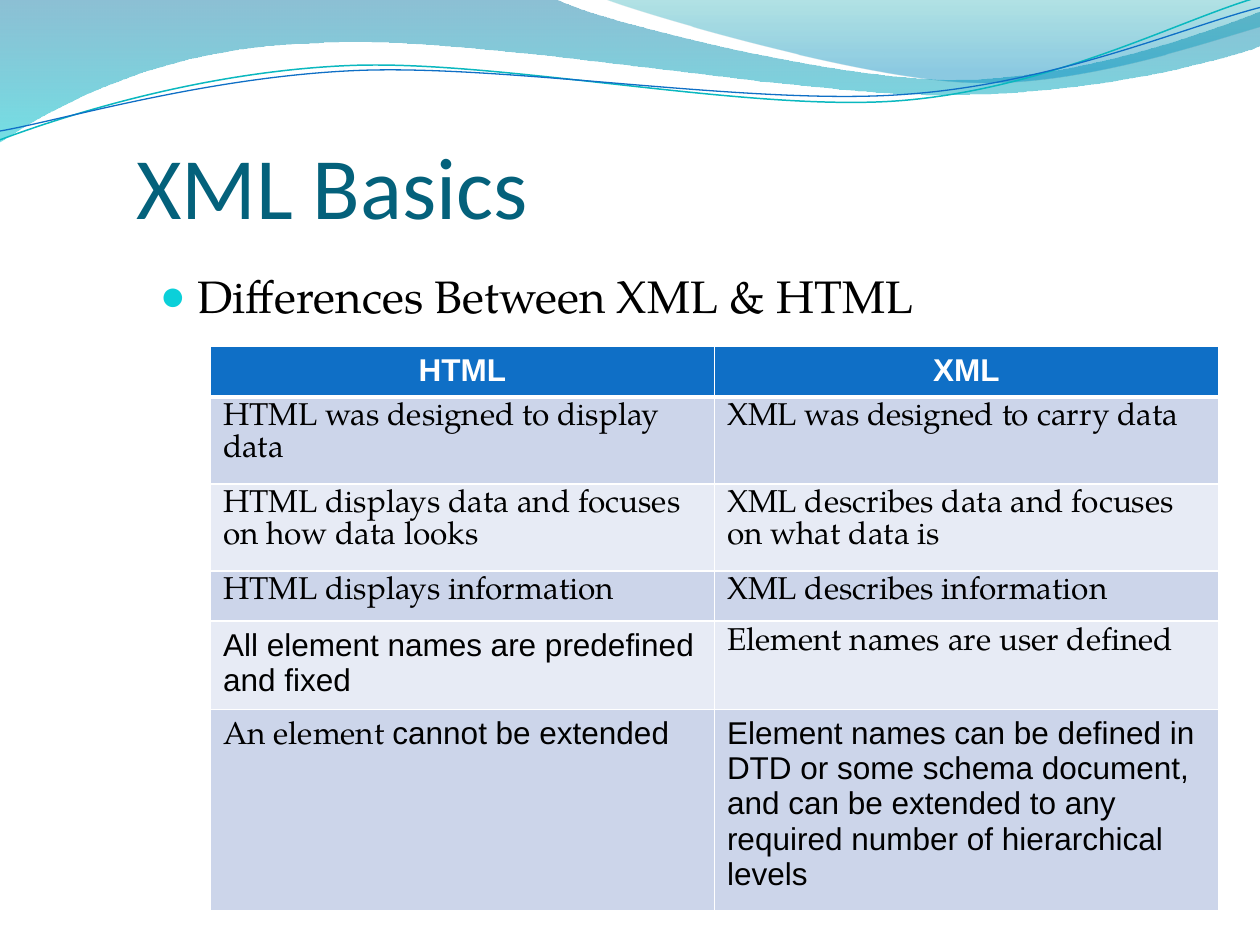
from math import cos, radians, sin

from pptx import Presentation
from pptx.dml.color import RGBColor
from pptx.enum.text import MSO_ANCHOR as Anchor, PP_ALIGN as Align
from pptx.oxml import parse_xml
from pptx.oxml.ns import nsdecls
from pptx.util import Inches, Pt

COLORS = {
    "white": "FFFFFF", "black": "000000", "title": "04617B", "bullet": "0BD0D9",
    "header": "0F6FC6", "band_dark": "CCD5EA", "band_light": "E7EBF5",
    "teal_line": "0AB8BF", "blue_line": "0F6FC6",
    "deep_blue": "0074A1", "cyan": "00C6CF", "teal": "00A1A9", "sky": "008BBF",
}
SANS, SERIF, TITLE_FONT = "Arial", "TeX Gyre Pagella", "Calibri"
TILT = 2.7

BROAD_WAVE = [
    (0, 0), (4.4, -0.01), (4.76, 0.17, 6.64, 0.63, 7.58, 0.63),
    (8.53, 0.63, 9.58, 0.26, 10, 0.09), (10.01, 0.36),
    (9.83, 0.44, 8.7, 0.76, 7.46, 0.75), (6.22, 0.75, 3.82, 0.28, 2.57, 0.34),
    (1.29, 0.36, 0.46, 0.83, -0.01, 1.13),
]
RIGHT_WAVE = [
    (4.79, -0.01), (5.09, 0.11, 6.82, 0.62, 7.69, 0.65),
    (8.56, 0.69, 9.61, 0.32, 10, 0.21), (10, 0),
]
TEAL_CURVE = [
    (0, 1.11), (0.48, 0.93, 1.58, 0.57, 2.77, 0.52),
    (3.95, 0.47, 5.93, 0.89, 7.13, 0.8), (8.33, 0.71, 9.38, 0.15, 9.98, -0.02),
]
BLUE_CURVE = [
    (0, 1.04), (0.47, 0.96, 1.64, 0.61, 2.83, 0.56),
    (4.03, 0.51, 5.97, 0.84, 7.17, 0.75), (8.36, 0.67, 9.41, 0.21, 10, 0.06),
]
ROW_HEIGHTS = [0.4, 0.69, 0.69, 0.4, 0.4, 0.4]
ROWS = [
    [[("HTML", SANS)], [("XML", SANS)]],
    [[("HTML was designed to display data", SERIF)],
     [("XML was designed to carry data", SERIF)]],
    [[("HTML displays data and focuses on how data looks", SERIF)],
     [("XML describes data and focuses on what data is", SERIF)]],
    [[("HTML displays information", SERIF)], [("XML describes information", SERIF)]],
    [[("All element names are predefined and fixed", SANS)],
     [("Element names are user defined", SERIF)]],
    [[("An element ", SERIF), ("cannot be extended", SANS)],
     [("Element names can be defined in DTD or some schema document, and can be "
       "extended to any required number of hierarchical levels", SANS)]],
]


def color(name):
    return RGBColor.from_string(COLORS[name])


def turn(point, center, degrees):
    angle = radians(degrees)
    dx, dy = point[0] - center[0], point[1] - center[1]
    return (center[0] + dx * cos(angle) - dy * sin(angle),
            center[1] + dx * sin(angle) + dy * cos(angle))


class SlideBuilder:
    """Holds the text style and the current slide, and draws its elements."""

    def __init__(self, slide):
        self.slide = slide
        self.table_size = 18
        self.table_line = 1
        self.header_line = 3

    def outline(self, segments, closed, center=(0, 0), tilt=0):
        points = [turn(segment[i:i + 2], center, tilt)
                  for segment in segments for i in range(0, len(segment), 2)]
        points = [(Inches(x), Inches(y)) for x, y in points]
        builder = self.slide.shapes.build_freeform(*points[0])
        builder.add_line_segments(points[1:], close=closed)
        shape = builder.convert_to_shape()
        shape.shadow.inherit = False
        shape.rotation = -tilt % 360
        self.bend(shape, segments)
        return shape

    def bend(self, shape, segments):
        steps = iter(shape._element.findall(".//{*}lnTo"))
        for segment in segments[1:]:
            group = [next(steps) for _ in range(len(segment) // 2)]
            if len(group) == 3:
                cubic = parse_xml(f'<a:cubicBezTo {nsdecls("a")}/>')
                group[0].addprevious(cubic)
                for step in group:
                    cubic.append(step[0])
                    step.getparent().remove(step)

    def wave(self, segments, stops):
        shape = self.outline(segments, True)
        shape.line.fill.background()
        shape.fill.gradient()
        shape.fill.gradient_angle = 270
        for stop, (position, name, opacity) in zip(shape.fill.gradient_stops, stops):
            stop.position = position
            stop.color.rgb = color(name)
            alpha = f'<a:alpha {nsdecls("a")} val="{opacity * 1000}"/>'
            stop._gs.find(".//{*}srgbClr").append(parse_xml(alpha))

    def curve(self, segments, center, name, width):
        shape = self.outline(segments, False, center, TILT)
        shape.fill.background()
        shape.line.color.rgb = color(name)
        shape.line.width = Pt(width)

    def text(self, box, text, font, size, name, anchor=Anchor.TOP, side=0.1, bullet=False):
        frame = self.slide.shapes.add_textbox(*map(Inches, box)).text_frame
        frame.word_wrap = True
        frame.vertical_anchor = anchor
        frame.margin_left = frame.margin_right = Inches(side)
        frame.margin_bottom = Inches(0.05 if side else 0)
        paragraph = frame.paragraphs[0]
        paragraph.text = text
        if bullet:
            self.bullet(paragraph)
        self.font(paragraph.font, font, size, name)

    def bullet(self, paragraph):
        properties = paragraph._p.get_or_add_pPr()
        properties.set("marL", str(Inches(0.3)))
        properties.set("indent", str(Inches(-0.3)))
        for element in (
            f'<a:buClr {nsdecls("a")}><a:srgbClr val="{COLORS["bullet"]}"/></a:buClr>',
            f'<a:buSzPct {nsdecls("a")} val="95000"/>',
            f'<a:buFont {nsdecls("a")} typeface="{SANS}"/>',
            f'<a:buChar {nsdecls("a")} char="●"/>',
        ):
            properties.append(parse_xml(element))

    def font(self, font, family, size, name, bold=False):
        font.name, font.size, font.bold = family, Pt(size), bold
        font.color.rgb = color(name)

    def table(self, box, heights, rows):
        table = self.slide.shapes.add_table(
            len(rows), len(rows[0]), *map(Inches, box)).table
        for row, height in zip(table.rows, heights):
            row.height = Inches(height)
        for row_index, row in enumerate(rows):
            for column_index, runs in enumerate(row):
                self.cell(table.cell(row_index, column_index), row_index, runs)

    def cell(self, cell, row_index, runs):
        header = row_index == 0
        self.borders(cell, row_index)
        cell.fill.solid()
        band = "band_dark" if row_index % 2 else "band_light"
        cell.fill.fore_color.rgb = color("header" if header else band)
        paragraph = cell.text_frame.paragraphs[0]
        if header:
            paragraph.alignment = Align.CENTER
        if all(family == SERIF for _, family in runs):
            paragraph.line_spacing = Pt(self.table_size)
        self.font(paragraph.font, runs[0][1], self.table_size,
                  "white" if header else "black", header)
        for text, family in runs:
            run = paragraph.add_run()
            run.text = text
            if len(runs) > 1:
                run.font.name = family

    def borders(self, cell, row_index):
        properties = cell._tc.get_or_add_tcPr()
        for side in "LRTB":
            thick = (row_index, side) in ((0, "B"), (1, "T"))
            width = Pt(self.header_line if thick else self.table_line)
            properties.append(parse_xml(
                f'<a:ln{side} {nsdecls("a")} w="{width}"><a:solidFill>'
                f'<a:srgbClr val="{COLORS["white"]}"/></a:solidFill></a:ln{side}>'))


def main():
    presentation = Presentation()
    presentation.slide_width, presentation.slide_height = Inches(10), Inches(7.5)
    builder = SlideBuilder(presentation.slides.add_slide(presentation.slide_layouts[6]))
    builder.wave(BROAD_WAVE, [(0, "deep_blue", 45), (1, "cyan", 55)])
    builder.wave(RIGHT_WAVE, [(0, "teal", 30), (0.8, "sky", 45)])
    builder.curve(TEAL_CURVE, (4.99, 0.57), "teal_line", 0.85)
    builder.curve(BLUE_CURVE, (5, 0.59), "blue_line", 0.75)
    builder.text((1.08, 0.21, 8.92, 1.67), "XML Basics", TITLE_FONT, 50, "title",
                 anchor=Anchor.BOTTOM, side=0)
    builder.text((1.17, 2.08, 8.83, 5), "Differences Between XML & HTML",
                 SERIF, 26, "black", bullet=True)
    builder.table((1.67, 2.75, 8, 4.5), ROW_HEIGHTS, ROWS)
    presentation.save("out.pptx")


if __name__ == "__main__":
    main()
